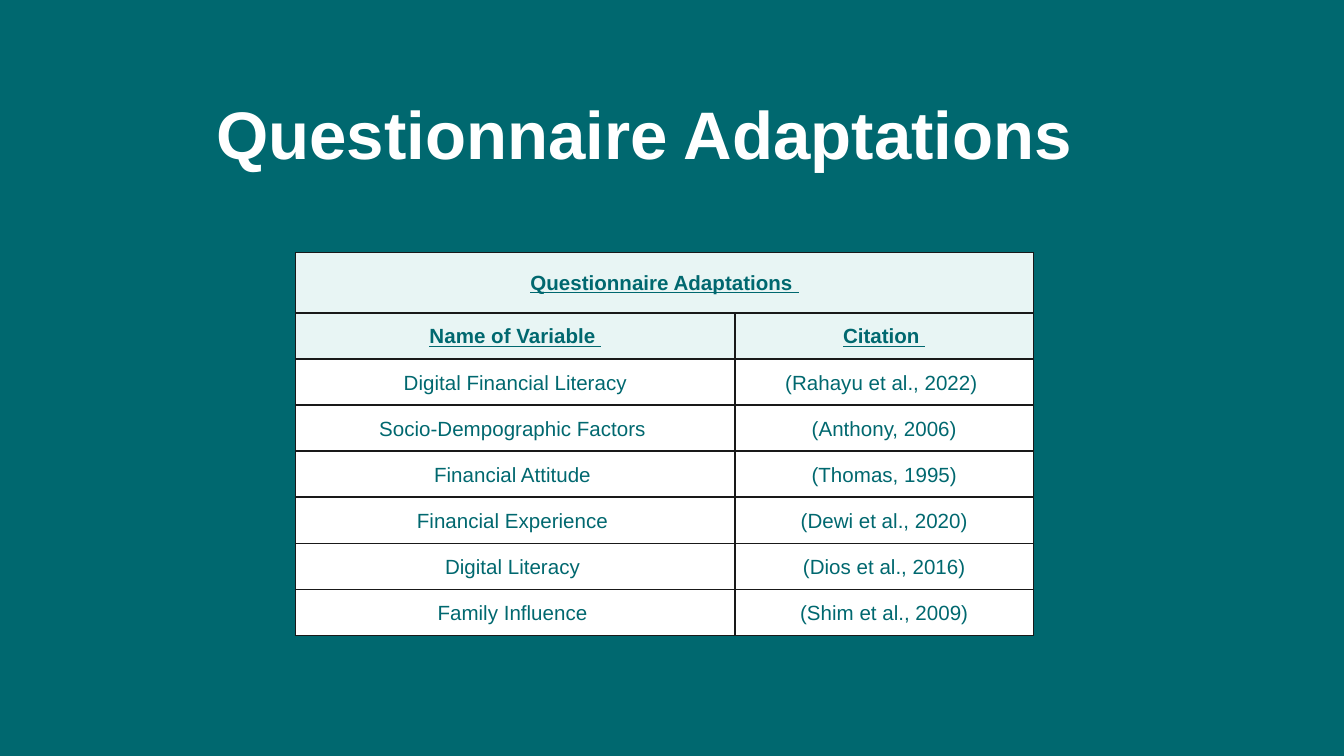
from lxml import etree
from pptx import Presentation
from pptx.dml.color import RGBColor
from pptx.enum.text import MSO_ANCHOR, MSO_AUTO_SIZE, PP_ALIGN
from pptx.oxml import parse_xml
from pptx.oxml.ns import nsdecls, qn
from pptx.util import Inches, Pt

TEAL, MINT, WHITE, BLACK = "00686F", "E8F5F4", "FFFFFF", "191919"


def rgb(value):
    return RGBColor.from_string(value)


def style_text(p, size, color, bold, underline=False):
    p.alignment = PP_ALIGN.CENTER
    for r in p.runs:
        r.font.name = "Arial"
        r.font.size = Pt(size)
        r.font.bold = bold
        r.font.underline = underline
        r.font.color.rgb = rgb(color)


# Widescreen slide, 16:9
prs = Presentation()
prs.slide_width, prs.slide_height = Inches(10), Inches(10 * 9 / 16)
s = prs.slides.add_slide(prs.slide_layouts[5])
s.background.fill.solid()
s.background.fill.fore_color.rgb = rgb(TEAL)

# Title, with a wide right inset that centres it left of the slide's middle
title = s.shapes.title
title.left, title.top = Inches(0.79), Inches(0.59)
title.width, title.height = Inches(8.43), Inches(0.63)
tf = title.text_frame
tf.text = "Questionnaire Adaptations"
tf.word_wrap = True
tf.auto_size = MSO_AUTO_SIZE.NONE
tf.vertical_anchor = MSO_ANCHOR.TOP
tf.margin_left, tf.margin_right = Inches(0.1), Inches(0.52)
tf.margin_top = tf.margin_bottom = Inches(0.1)
style_text(tf.paragraphs[0], 36, WHITE, True)

# Table: a merged heading, column headings, then one row per variable
rows = [
    ("Questionnaire Adaptations ", ""),
    ("Name of Variable ", "Citation "),
    ("Digital Financial Literacy", "(Rahayu et al., 2022) "),
    ("Socio-Dempographic Factors ", "(Anthony, 2006)"),
    ("Financial Attitude ", "(Thomas, 1995)"),
    ("Financial Experience ", "(Dewi et al., 2020)"),
    ("Digital Literacy ", "(Dios et al., 2016)"),
    ("Family Influence ", "(Shim et al., 2009)"),
]
height, heading_height = Inches(2.85), Inches(0.45)
row_height = (height - heading_height) // (len(rows) - 1)
table = s.shapes.add_table(len(rows), 2, Inches(2.2), Inches(1.88),
                           Inches(5.49), height).table
table.columns[0].width, table.columns[1].width = Inches(3.27), Inches(2.22)
table.cell(0, 0).merge(table.cell(0, 1))

for i, row in enumerate(rows):
    table.rows[i].height = heading_height if i == 0 else row_height
    heading = i < 2
    for j, text in enumerate(row):
        cell = table.cell(i, j)
        cell.vertical_anchor = MSO_ANCHOR.MIDDLE
        cell.margin_left = cell.margin_right = cell.margin_top = Inches(0.01)
        cell.margin_bottom = 0
        if text:
            cell.text_frame.text = text
            style_text(cell.text_frame.paragraphs[0], 11, TEAL, heading, heading)

        # Borders come before the fill in the cell properties
        tcPr = cell._tc.get_or_add_tcPr()
        for side in ("a:lnL", "a:lnR", "a:lnT", "a:lnB"):
            line = etree.SubElement(tcPr, qn(side), w=str(Pt(1)))
            line.append(parse_xml(
                f'<a:solidFill {nsdecls("a")}><a:srgbClr val="{BLACK}"/></a:solidFill>'))
        cell.fill.solid()
        cell.fill.fore_color.rgb = rgb(MINT if heading else WHITE)

prs.save("out.pptx")
